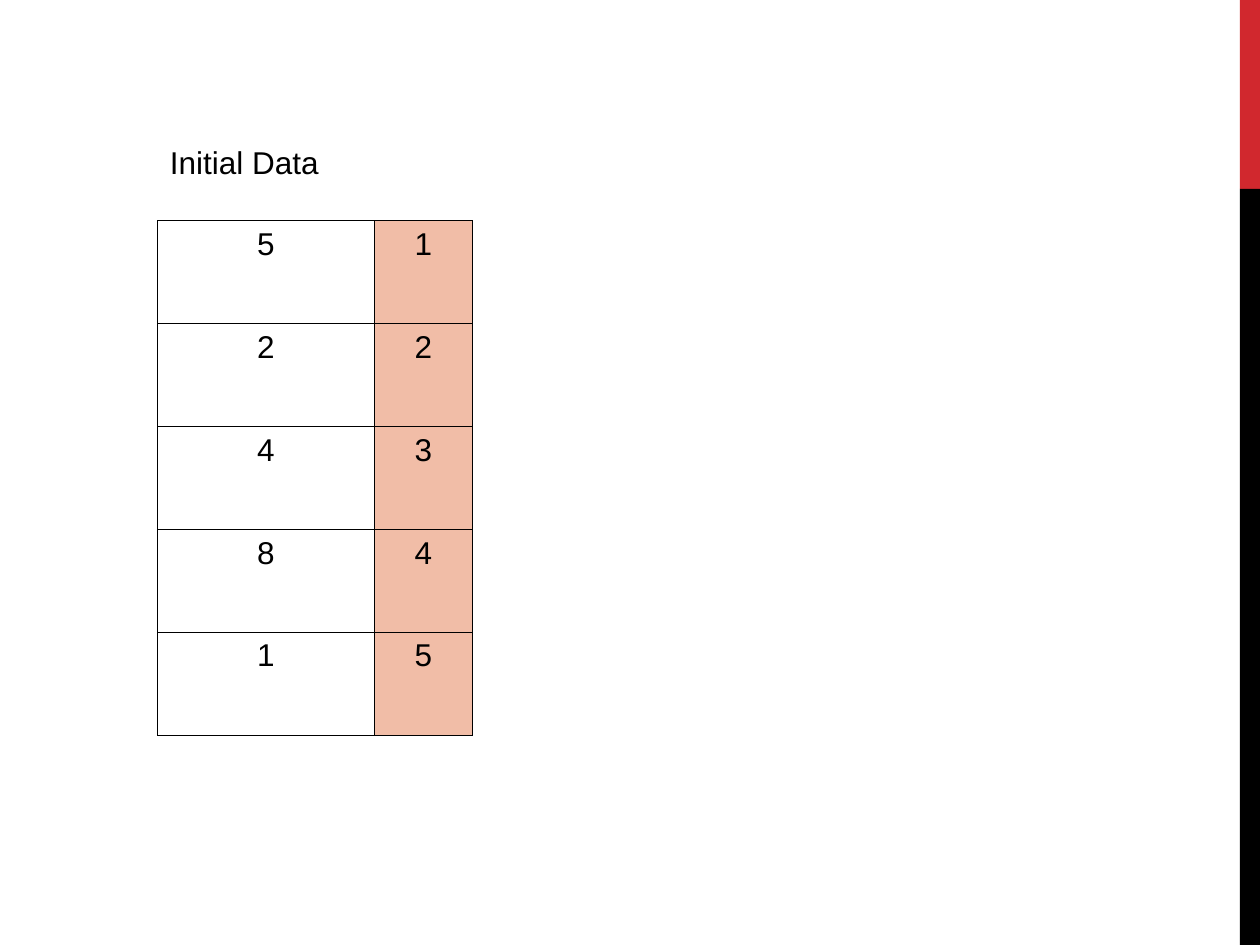
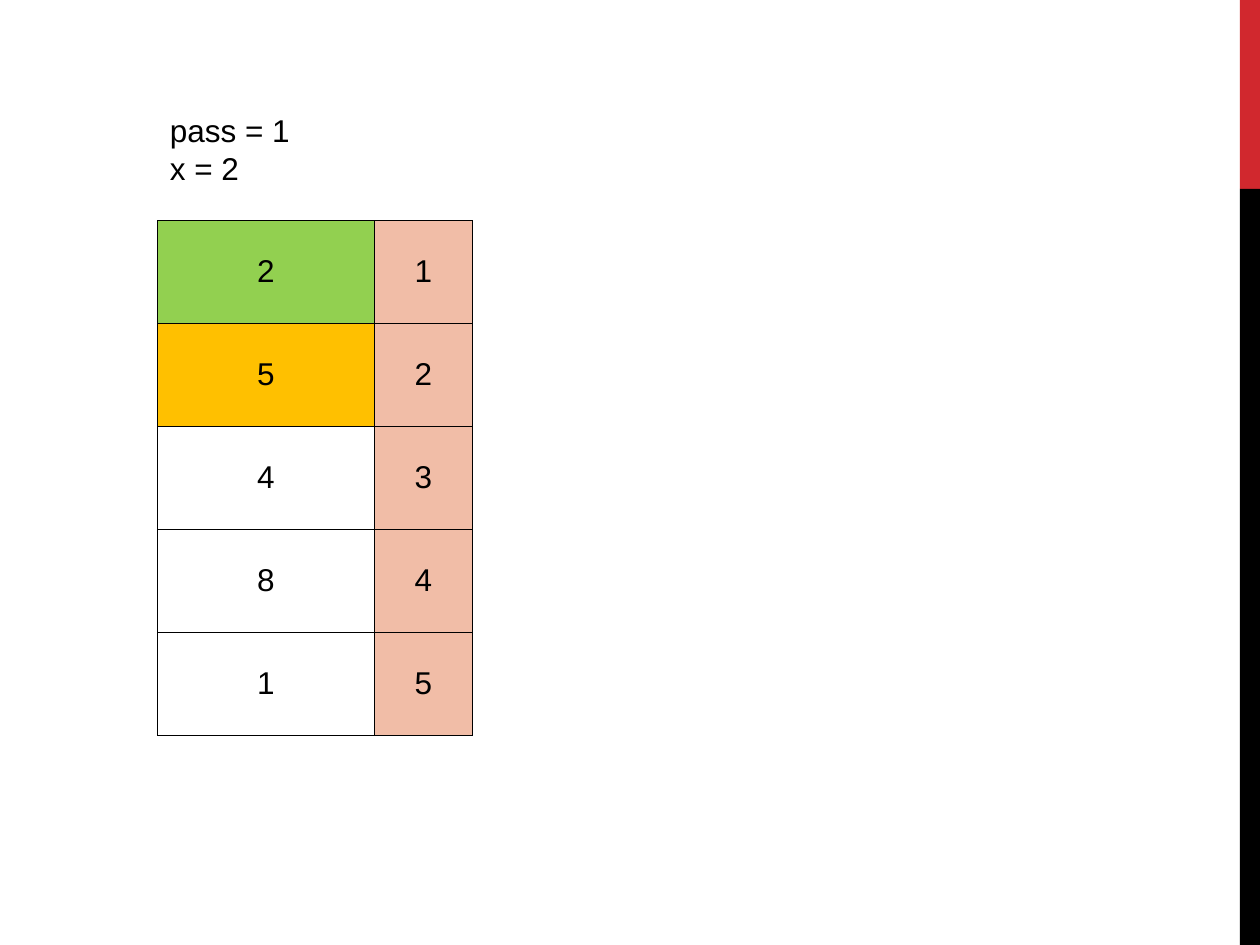
from lxml.etree import SubElement
from pptx import Presentation
from pptx.dml.color import RGBColor
from pptx.enum.shapes import MSO_SHAPE
from pptx.enum.text import MSO_ANCHOR, MSO_AUTO_SIZE, PP_ALIGN
from pptx.oxml.ns import qn
from pptx.util import Inches, Pt

GRID_COLUMNS, GRID_ROWS = 120, 90
BAND_COLUMNS, RED_BAND_ROWS = 1.92, 18
LEFT = 15
TABLE_TOP, TABLE_ROW_HEIGHT = 21, 9.8
TABLE_COLUMN_WIDTHS = 20.64, 9.36
CAPTION_WIDTH, CAPTION_PADDING, CAPTION_LINE = 22, 1.2, 3.6

RED, BLACK, INDEX_FILL = "D1282E", "000000", "F1BDA7"
GREEN, AMBER = "92D050", "FFC000"


def color(hex_value):
    return RGBColor.from_string(hex_value)


def apply_format(target, values):
    for name, value in values.items():
        setattr(target, name, value)


class Deck:
    font = {"name": "Arial", "size": Pt(18)}
    border_width = Pt(0.45)
    caption_frame = {"word_wrap": True, "auto_size": MSO_AUTO_SIZE.SHAPE_TO_FIT_TEXT}
    plain_table = {"first_row": False, "horz_banding": False}

    def __init__(self):
        self.presentation = Presentation()
        apply_format(self.presentation,
                     {"slide_width": Inches(10), "slide_height": Inches(7.5)})
        self.slide = None

    def across(self, columns):
        return round(self.presentation.slide_width * columns / GRID_COLUMNS)

    def down(self, rows):
        return round(self.presentation.slide_height * rows / GRID_ROWS)

    def place(self, left, top, width, height):
        return self.across(left), self.down(top), self.across(width), self.down(height)

    def new_slide(self):
        self.slide = self.presentation.slides.add_slide(self.presentation.slide_layouts[6])
        self.band(0, RED_BAND_ROWS, RED)
        self.band(RED_BAND_ROWS, GRID_ROWS - RED_BAND_ROWS, BLACK)

    def band(self, top, height, fill):
        shape = self.slide.shapes.add_shape(
            MSO_SHAPE.RECTANGLE,
            *self.place(GRID_COLUMNS - BAND_COLUMNS, top, BAND_COLUMNS, height))
        shape.shadow.inherit = False
        shape.fill.solid()
        shape.fill.fore_color.rgb = color(fill)
        shape.line.fill.background()

    def set_text(self, text_frame, text, alignment=PP_ALIGN.LEFT):
        text_frame.text = text
        for paragraph in text_frame.paragraphs:
            paragraph.alignment = alignment
            for run in paragraph.runs:
                apply_format(run.font, self.font)
                run.font.color.rgb = color(BLACK)

    def caption(self, top, lines):
        height = CAPTION_PADDING + CAPTION_LINE * len(lines)
        text_box = self.slide.shapes.add_textbox(
            *self.place(LEFT, top, CAPTION_WIDTH, height))
        apply_format(text_box.text_frame, self.caption_frame)
        self.set_text(text_box.text_frame, "\n".join(lines))

    def border(self, cell):
        properties = cell._tc.get_or_add_tcPr()
        for position, side in enumerate(("lnL", "lnR", "lnT", "lnB")):
            line = properties.makeelement(qn(f"a:{side}"), {"w": str(self.border_width)})
            properties.insert(position, line)
            fill = SubElement(line, qn("a:solidFill"))
            SubElement(fill, qn("a:srgbClr"), val=BLACK)

    def cell(self, cell, text, fill, anchor):
        self.set_text(cell.text_frame, text, PP_ALIGN.CENTER)
        cell.vertical_anchor = anchor
        if fill:
            cell.fill.solid()
            cell.fill.fore_color.rgb = color(fill)
        else:
            cell.fill.background()
        self.border(cell)

    def array_table(self, values, highlights, anchor):
        """Draw the values beside their positions, with some values highlighted."""
        table = self.slide.shapes.add_table(
            len(values), len(TABLE_COLUMN_WIDTHS),
            *self.place(LEFT, TABLE_TOP, sum(TABLE_COLUMN_WIDTHS),
                        TABLE_ROW_HEIGHT * len(values))).table
        apply_format(table, self.plain_table)
        for column, width in zip(table.columns, TABLE_COLUMN_WIDTHS):
            column.width = self.across(width)
        for row, value in enumerate(values):
            self.cell(table.cell(row, 0), str(value), highlights.get(row), anchor)
            self.cell(table.cell(row, 1), str(row + 1), INDEX_FILL, anchor)


def main():
    deck = Deck()

    deck.new_slide()
    deck.array_table([5, 2, 4, 8, 1], {}, MSO_ANCHOR.TOP)
    deck.caption(13, ["Initial Data"])

    deck.new_slide()
    deck.array_table([2, 5, 4, 8, 1], {0: GREEN, 1: AMBER}, MSO_ANCHOR.MIDDLE)
    deck.caption(10, ["pass = 1", "x = 2"])

    deck.presentation.save("out.pptx")


if __name__ == "__main__":
    main()
